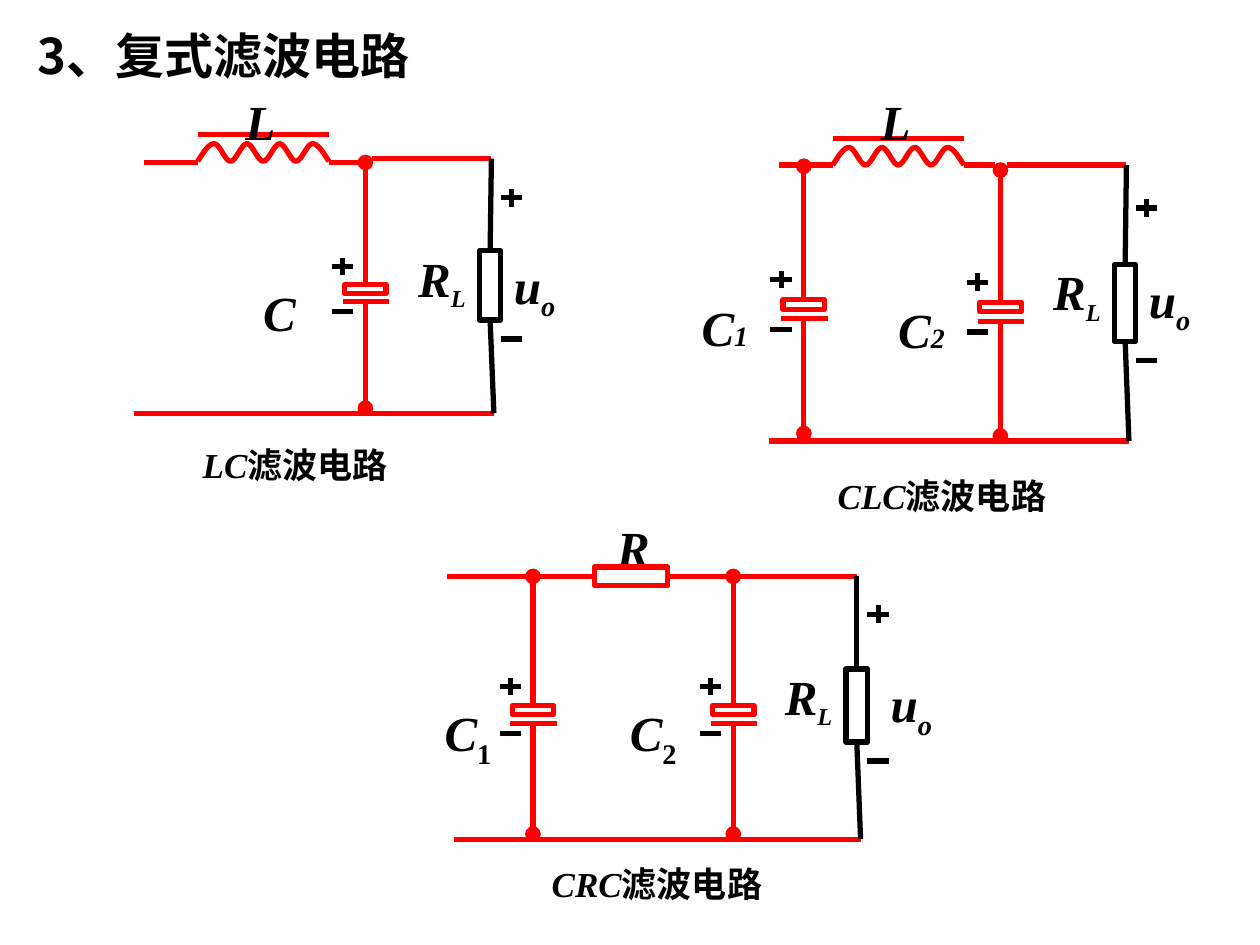
from lxml.etree import SubElement
from pptx import Presentation
from pptx.dml.color import RGBColor
from pptx.enum.shapes import MSO_CONNECTOR, MSO_SHAPE
from pptx.enum.text import MSO_ANCHOR, MSO_AUTO_SIZE, PP_ALIGN
from pptx.oxml.ns import qn
from pptx.util import Inches, Pt

RED = RGBColor(0xFF, 0, 0)
BLACK = RGBColor(0, 0, 0)
LATIN = "Times New Roman"
CJK = "Noto Sans CJK SC"


class CircuitSlide:
    """Holds the current slide and draws circuit parts on it, in inches."""

    line_width = Pt(3)

    def __init__(self, prs):
        self.s = prs.slides.add_slide(prs.slide_layouts[5])

    # Text
    def run(self, p, text, size, font=LATIN, italic=True, base=0):
        r = p.add_run()
        r.text = text
        f = r.font
        f.size, f.name, f.bold, f.italic = Pt(size), font, True, italic
        f.color.rgb = BLACK
        rPr = r._r.get_or_add_rPr()
        if base:
            rPr.set("baseline", str(base * 1000))
        if font == CJK:
            SubElement(rPr, qn("a:ea")).set("typeface", CJK)

    def frame(self, sp):
        tf = sp.text_frame
        tf.word_wrap = True
        tf.auto_size = MSO_AUTO_SIZE.NONE
        tf.vertical_anchor = MSO_ANCHOR.TOP
        p = tf.paragraphs[0]
        p.alignment = PP_ALIGN.LEFT
        return p

    def title(self, text, x, y, w, h):
        sp = self.s.shapes.title
        sp.left, sp.top, sp.width, sp.height = (Inches(v) for v in (x, y, w, h))
        self.run(self.frame(sp), text, 28, CJK, italic=False)

    def label(self, x, y, w, text, sub="", sub_size=28, sub_italic=True, base=-25):
        sp = self.s.shapes.add_textbox(Inches(x), Inches(y), Inches(w), Inches(0.6))
        p = self.frame(sp)
        self.run(p, text, 28)
        if sub:
            self.run(p, sub, sub_size, italic=sub_italic, base=base)

    def caption(self, x, y, w, kind):
        sp = self.s.shapes.add_textbox(Inches(x), Inches(y), Inches(w), Inches(0.44))
        p = self.frame(sp)
        self.run(p, kind, 20)
        self.run(p, "滤波电路", 20, CJK, italic=False)

    # Basic lines and boxes
    def wire(self, x1, y1, x2, y2, color=RED, dot=False, start=None, end=None):
        c = self.s.shapes.add_connector(
            MSO_CONNECTOR.STRAIGHT, Inches(x1), Inches(y1), Inches(x2), Inches(y2))
        c.line.color.rgb = color
        c.line.width = self.line_width
        spPr = c._element.spPr
        if dot:
            SubElement(spPr.find(qn("a:ln")), qn("a:tailEnd")).set("type", "oval")
        SubElement(spPr, qn("a:effectLst"))
        if start:
            c.begin_connect(*start)
        if end:
            c.end_connect(*end)

    def outline(self, sp, color):
        sp.shadow.inherit = False
        sp.fill.background()
        sp.line.color.rgb = color
        sp.line.width = self.line_width
        return sp

    def box(self, x, y, w, h, color=RED):
        sp = self.s.shapes.add_shape(
            MSO_SHAPE.RECTANGLE, Inches(x), Inches(y), Inches(w), Inches(h))
        return self.outline(sp, color)

    def minus(self, x, y):
        self.wire(x - 0.17 / 2, y, x + 0.17 / 2, y, BLACK)

    def plus(self, x, y):
        self.minus(x, y)
        self.wire(x, y - 0.07, x, y + 0.07, BLACK)

    # Circuit parts
    def coil(self, x, y, bar_y):
        step, height, halves = 0.13, 0.14, 8
        points = [(Inches(x + step * i), Inches(y - height * (i % 2)))
                  for i in range(halves + 1)]
        fb = self.s.shapes.build_freeform(*points[0])
        fb.add_line_segments(points[1:], close=False)
        sp = self.outline(fb.convert_to_shape(), RED)
        self.smooth(sp, halves)
        self.wire(x, bar_y, x + step * halves, bar_y)
        self.label(x + 0.28, 0.68, 0.44, "L")

    def smooth(self, sp, count):
        """Turn the zigzag of a coil into one curve for each half wave."""
        path = next(sp._element.iter(qn("a:path")))
        x0 = y0 = None
        for i, seg in enumerate(list(path)):
            pt = seg.find(qn("a:pt"))
            x1, y1 = int(pt.get("x")), int(pt.get("y"))
            if i:
                third, mid = (x1 - x0) // 3, (y0 + y1) // 2
                handles = [(x0 + third, mid if i == 1 else y0),
                           (x1 - third, mid if i == count else y1), (x1, y1)]
                curve = SubElement(path, qn("a:cubicBezTo"))
                for hx, hy in handles:
                    node = SubElement(curve, qn("a:pt"))
                    node.set("x", str(hx))
                    node.set("y", str(hy))
                path.remove(seg)
            x0, y0 = x1, y1

    def capacitor(self, x, top, plate, bottom, k=1, dx=0.91, **sub):
        box = self.box(x - 0.33 / 2, plate, 0.33, 0.07 * k)
        low = plate + 0.14 * k
        self.wire(x - 0.18, low, x + 0.19, low)
        self.label(x - dx, plate - 0.07, 1, "C", **sub)
        self.plus(x - 0.18, plate - 0.15 * k)
        self.minus(x - 0.18, plate + 0.22 * k)
        self.wire(x, low, x, bottom, dot=True)
        self.wire(x, plate, x, top, dot=True, start=(box, 0))

    def load(self, x, top, y, h, bottom, plus_dy, lean=0.01, u_dx=0.09):
        box = self.box(x - 0.17 / 2, y, 0.17, h, BLACK)
        self.wire(x, y, x + lean, top, BLACK, start=(box, 0))
        self.wire(x, y + h, x + 0.03, bottom, BLACK, start=(box, 2))
        self.plus(x + 0.17, top + plus_dy)
        self.minus(x + 0.17, y + h + 0.15)
        self.label(x - 0.67, y - 0.07, 0.68, "R", "L", 24)
        self.label(x + u_dx, y - 0.01, 0.9, "u", "o")


def main():
    prs = Presentation()
    prs.slide_width, prs.slide_height = Inches(10), Inches(7.5)
    c = CircuitSlide(prs)
    c.title("3、复式滤波电路", 0.2, 0.15, 3.39, 0.57)

    # LC filter
    c.wire(1.14, 1.29, 1.57, 1.29)
    c.coil(1.57, 1.28, 1.07)
    c.wire(2.61, 1.29, 2.86, 1.29)
    c.wire(2.95, 1.26, 3.9, 1.26)
    c.wire(1.06, 3.28, 3.92, 3.28)
    c.capacitor(2.9, 1.29, 2.26, 3.24, k=0.96)
    c.load(3.89, 1.26, 1.99, 0.55, 3.28, plus_dy=0.31)
    c.caption(1.51, 3.47, 1.75, "LC")

    # CLC filter
    c.wire(6.18, 1.31, 6.61, 1.31)
    c.coil(6.61, 1.31, 1.1)
    c.wire(7.65, 1.31, 7.9, 1.31)
    c.wire(7.99, 1.31, 8.94, 1.31)
    c.wire(6.1, 3.5, 8.96, 3.5)
    for x, top, plate, bottom, sub in ((6.38, 1.32, 2.38, 3.44, "1"),
                                       (7.94, 1.35, 2.4, 3.46, "2")):
        c.capacitor(x, top, plate, bottom, k=1.07, sub=sub, sub_size=16, base=0)
    c.load(8.93, 1.31, 2.1, 0.61, 3.5, plus_dy=0.34)
    c.caption(6.55, 3.72, 1.95, "CLC")

    # CRC filter
    c.label(4.8, 4.06, 0.46, "R")
    resistor = c.box(4.72, 4.5, 0.58, 0.15)
    rail = 4.5 + 0.15 / 2
    c.wire(3.55, rail, 4.72, rail, end=(resistor, 1))
    c.wire(6.8, rail, 5.3, rail, end=(resistor, 3))
    c.wire(3.6, 6.66, 6.83, 6.66)
    for x, dx, sub in ((4.23, 0.8, "1"), (5.82, 0.92, "2")):
        c.capacitor(x, rail, 5.6, 6.62, dx=dx, sub=sub, sub_italic=False)
    c.load(6.8, rail, 5.31, 0.58, 6.66, plus_dy=0.3, lean=0, u_dx=0.17)
    c.caption(4.28, 6.8, 1.95, "CRC")

    prs.save("out.pptx")


if __name__ == "__main__":
    main()
